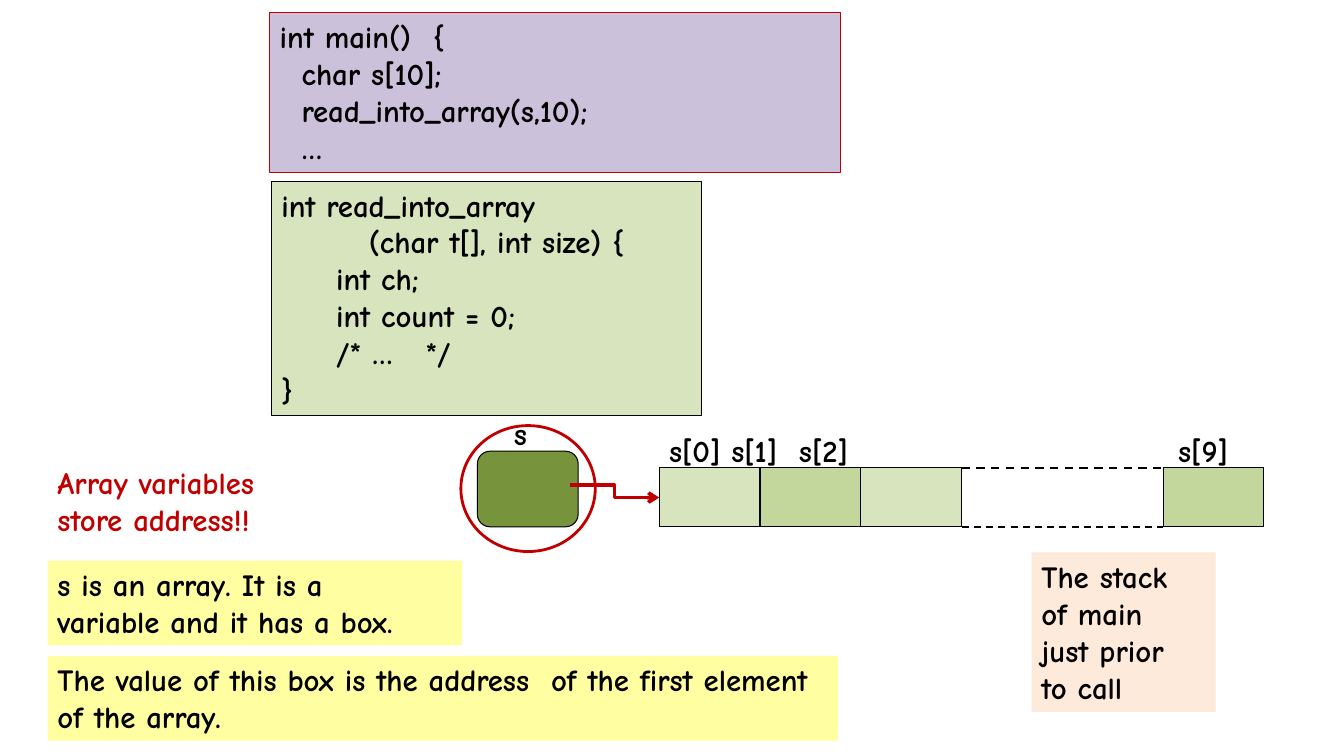
import pptx
import pptx.util
import pptx.dml.color
import pptx.enum.dml
import pptx.enum.shapes
import pptx.enum.text
import pptx.oxml
import pptx.oxml.ns

Pt = pptx.util.Pt
RGBColor = pptx.dml.color.RGBColor
Preset = pptx.enum.shapes.MSO_SHAPE
Connector = pptx.enum.shapes.MSO_CONNECTOR

BLACK = RGBColor(0x00, 0x00, 0x00)
RED = RGBColor(0xC0, 0x00, 0x00)
LILAC = RGBColor(0xCC, 0xC1, 0xDA)
PALE_GREEN = RGBColor(0xD7, 0xE4, 0xBD)
MID_GREEN = RGBColor(0xC3, 0xD6, 0x9B)
DARK_GREEN = RGBColor(0x77, 0x93, 0x3C)
PEACH = RGBColor(0xFD, 0xEA, 0xDA)
YELLOW = RGBColor(0xFF, 0xFF, 0xA1)

FONT = "Comic Neue"
FONT_SIZE = 22

CELL_WIDTH = 72
CELL_HEIGHT = 42
ARRAY_LEFT = 470.9
ARRAY_TOP = 334.3

MAIN_CODE = """int main()  {
  char s[10];
  read_into_array(s,10);
  …"""

READ_CODE = """int read_into_array
        (char t[], int size) {
     int ch;
     int count = 0;
     /* …   */
}"""


def write_text(shape, text, color=BLACK):
    frame = shape.text_frame
    frame.text = text
    frame.word_wrap = True
    frame.vertical_anchor = pptx.enum.text.MSO_ANCHOR.TOP
    for paragraph in frame.paragraphs:
        paragraph.alignment = pptx.enum.text.PP_ALIGN.LEFT
        for run in paragraph.runs:
            run.font.name = FONT
            run.font.size = Pt(FONT_SIZE)
            run.font.bold = True
            run.font.color.rgb = color


def add_box(slide, preset, left, top, width, height, fill=None, line=None, line_width=0.75):
    """Add a preset shape; a fill or line of None is left out."""
    box = slide.shapes.add_shape(preset, Pt(left), Pt(top), Pt(width), Pt(height))
    box.shadow.inherit = False
    if fill is None:
        box.fill.background()
    else:
        box.fill.solid()
        box.fill.fore_color.rgb = fill
    if line is None:
        box.line.fill.background()
    else:
        box.line.color.rgb = line
        box.line.width = Pt(line_width)
    return box


def add_note(slide, text, left, top, width, height, fill, line=None):
    note = add_box(slide, Preset.RECTANGLE, left, top, width, height, fill, line)
    write_text(note, text)


def add_label(slide, text, left, top, width, height=34, color=BLACK):
    label = slide.shapes.add_textbox(Pt(left), Pt(top), Pt(width), Pt(height))
    write_text(label, text, color)


def add_line(slide, kind, start, end, color, width):
    line = slide.shapes.add_connector(kind, Pt(start[0]), Pt(start[1]), Pt(end[0]), Pt(end[1]))
    line.line.color.rgb = color
    line.line.width = Pt(width)
    pptx.oxml.ns.qn("a:effectLst")
    line._element.spPr.append(pptx.oxml.parse_xml(
        f"<a:effectLst {pptx.oxml.ns.nsdecls('a')}/>"))
    return line


def add_array(slide):
    """Draw cells 0 to 2 and 9, with dashed edges for the cells left out."""
    for column, fill in ((0, PALE_GREEN), (1, MID_GREEN), (2, PALE_GREEN), (5, MID_GREEN)):
        add_box(slide, Preset.RECTANGLE, ARRAY_LEFT + column * CELL_WIDTH, ARRAY_TOP,
                CELL_WIDTH, CELL_HEIGHT, fill, BLACK)
    gap_left, gap_right = (ARRAY_LEFT + column * CELL_WIDTH for column in (3, 5))
    for y, width in ((ARRAY_TOP, 1.5), (ARRAY_TOP + CELL_HEIGHT, 1.25)):
        edge = add_line(slide, Connector.STRAIGHT, (gap_left, y), (gap_right, y), BLACK, width)
        edge.line.dash_style = pptx.enum.dml.MSO_LINE.DASH
    add_label(slide, "s[0] s[1]  s[2]", ARRAY_LEFT, 304.6, 186)
    add_label(slide, "s[9]", 834.5, 304.6, 56)


def add_pointer(slide):
    """Draw the box of s, its arrow to the first cell and the ring round it."""
    add_box(slide, Preset.ROUNDED_RECTANGLE, 341, 322.3, CELL_WIDTH, 54, DARK_GREEN, BLACK)
    add_label(slide, "s", 360, 292.5, 25)
    arrow = add_line(slide, Connector.ELBOW, (406.8, 346.5), (ARRAY_LEFT, 355.4), RED, 2.5)
    arrow.line._get_or_add_ln().append(pptx.oxml.parse_xml(
        f"<a:tailEnd {pptx.oxml.ns.nsdecls('a')} type='arrow'/>"))
    add_box(slide, Preset.OVAL, 329.2, 304, 96, 90, line=RED, line_width=2)


def main():
    deck = pptx.Presentation()
    deck.slide_width = Pt(960)
    deck.slide_height = Pt(540)
    slide = deck.slides.add_slide(deck.slide_layouts[6])

    add_note(slide, MAIN_CODE, 192.7, 9, 408, 114, LILAC, RED)
    add_note(slide, READ_CODE, 193.9, 129.5, 307.2, 167, PALE_GREEN, BLACK)
    add_note(slide, "The stack\nof main\njust prior\nto call", 736.8, 394.6, 131.5, 114, PEACH)
    add_array(slide)
    add_pointer(slide)
    add_note(slide, "The value of this box is the address  of the first element of the array.",
             34, 468.6, 564.5, 60.5, YELLOW)
    add_note(slide, "s is an array. It is a\nvariable and it has a box.",
             34, 400.5, 296, 60.5, YELLOW)
    add_label(slide, "Array variables\nstore address!!", 34, 327.6, 191, 60.5, RED)

    deck.save("out.pptx")


if __name__ == "__main__":
    main()
